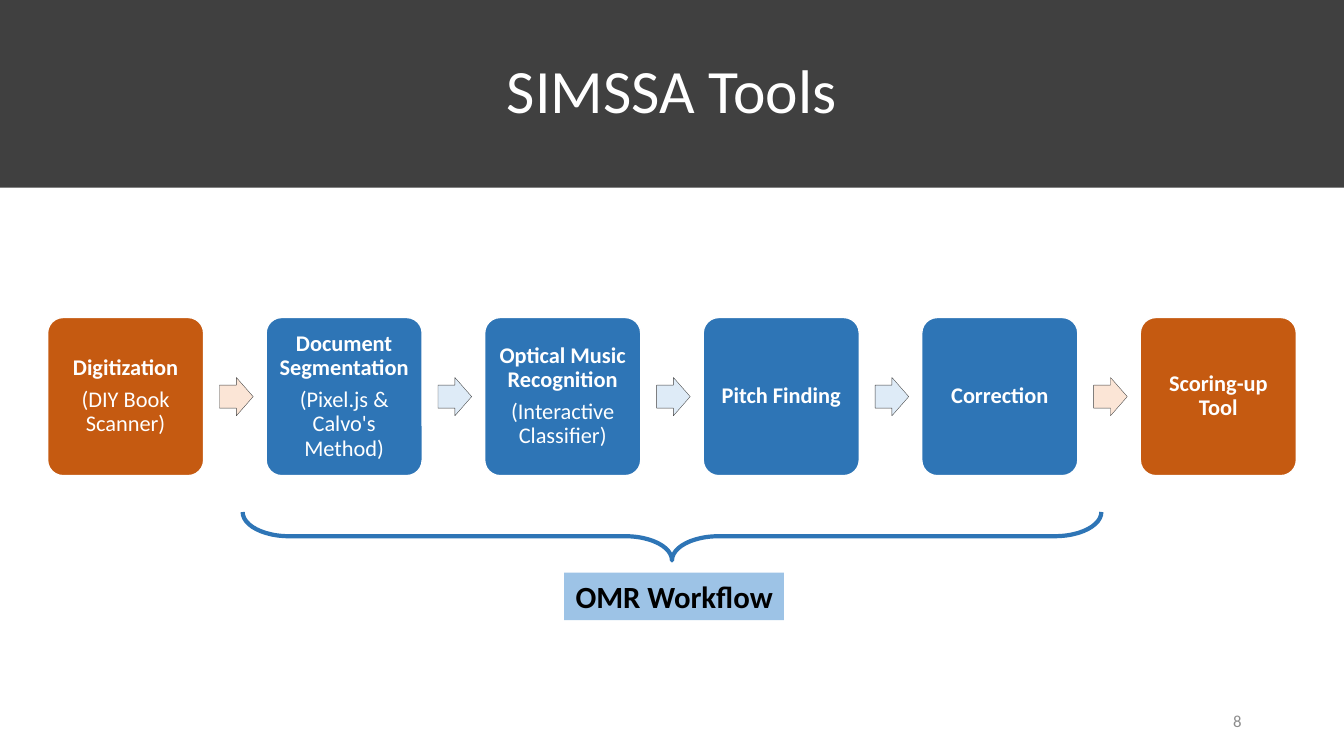
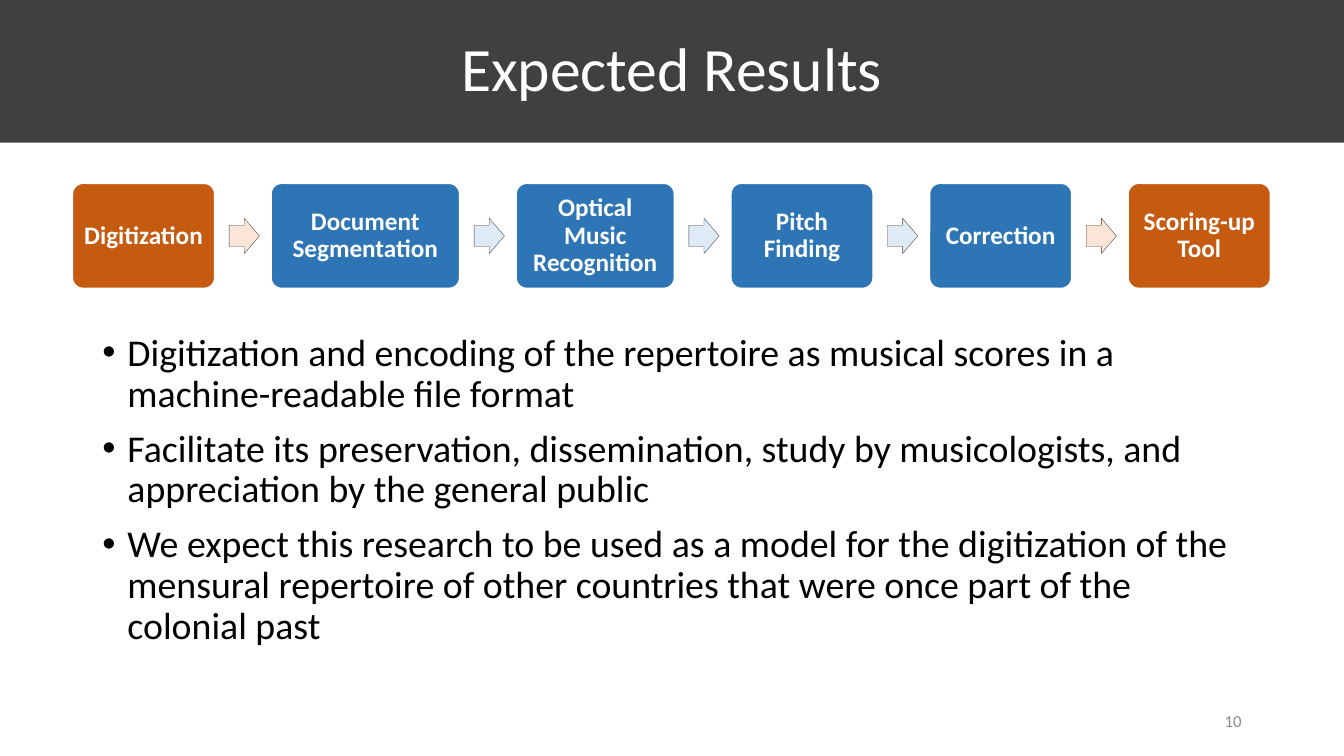
from lxml.etree import SubElement
from pptx import Presentation
from pptx.dml.color import RGBColor
from pptx.enum.shapes import MSO_SHAPE as Preset
from pptx.enum.text import MSO_ANCHOR as Anchor, MSO_AUTO_SIZE as AutoSize, PP_ALIGN as Align
from pptx.oxml.ns import qn
from pptx.util import Pt

FONT = "Calibri"
CHARCOAL, WHITE, BLACK, GREY = "404040", "FFFFFF", "000000", "8C8C8C"
ORANGE, PALE_ORANGE = "C55A11", "FBE5D6"
BLUE, PALE_BLUE, MID_BLUE = "2E75B6", "DEEBF7", "9DC3E6"
SLIDE_W, SLIDE_H = 960, 540


def paint(shape, fill=None, line=None, width=1):
    """Set a flat fill and outline; None leaves that part empty."""
    shape.shadow.inherit = False
    if fill:
        shape.fill.solid()
        shape.fill.fore_color.rgb = RGBColor.from_string(fill)
    else:
        shape.fill.background()
    if line:
        shape.line.color.rgb = RGBColor.from_string(line)
        shape.line.width = Pt(width)
    else:
        shape.line.fill.background()


def write(shape, texts, size, color, align=Align.CENTER, anchor=Anchor.MIDDLE,
          bold=False, gap=0, spacing=0.9, bulleted=False):
    """Put one paragraph per text into the shape, gap points apart."""
    frame = shape.text_frame
    frame.word_wrap = True
    frame.auto_size = AutoSize.NONE
    frame.vertical_anchor = anchor
    for i, text in enumerate(texts):
        para = frame.paragraphs[0] if i == 0 else frame.add_paragraph()
        para.text = text
        para.alignment = align
        para.line_spacing = spacing
        if i:
            para.space_before = Pt(gap)
        if bulleted:
            props = para._p.get_or_add_pPr()
            props.set("marL", str(Pt(18)))
            props.set("indent", str(-Pt(18)))
            SubElement(props, qn("a:buFont"), typeface="Arial")
            SubElement(props, qn("a:buChar"), char="•")
        para.font.name = FONT
        para.font.size = Pt(size)
        para.font.bold = bold
        para.font.color.rgb = RGBColor.from_string(color)


# Each step: heading, optional tool in use, fill colour
STEPS = [
    ("Digitization", "(DIY Book Scanner)", ORANGE),
    ("Document Segmentation", "(Pixel.js & Calvo's Method)", BLUE),
    ("Optical Music Recognition", "(Interactive Classifier)", BLUE),
    ("Pitch Finding", None, BLUE),
    ("Correction", None, BLUE),
    ("Scoring-up Tool", None, ORANGE),
]

PAGES = [
    dict(title="SIMSSA Tools", number="8", band=134, left=34, top=226.8, height=113,
         widths=[111.5] * 6, gap=44.6, arrow=(24, 27.4), size=16, tools=True),
    dict(title="Expected Results", number="10", band=102, left=51.8, top=131, height=75,
         widths=[101.5, 134.6, 113, 101.5, 101.5, 101.5], gap=40.4, arrow=(21.6, 25.2),
         size=18, tools=False),
]

deck = Presentation()
deck.slide_width, deck.slide_height = Pt(SLIDE_W), Pt(SLIDE_H)
title_only = deck.slide_layouts[5]

slides = []
for page in PAGES:
    slide = deck.slides.add_slide(title_only)
    slides.append(slide)

    title = slide.shapes.title
    title.left, title.top = Pt(0), Pt(0)
    title.width, title.height = Pt(SLIDE_W), Pt(page["band"])
    paint(title, CHARCOAL)
    write(title, [page["title"]], 44, WHITE)

    x = page["left"]
    arrow_w, arrow_h = page["arrow"]
    for i, (heading, tool, color) in enumerate(STEPS):
        width = page["widths"][i]
        step = slide.shapes.add_shape(Preset.ROUNDED_RECTANGLE, Pt(x), Pt(page["top"]),
                                      Pt(width), Pt(page["height"]))
        step.adjustments[0] = 0.1
        paint(step, color, WHITE)
        frame = step.text_frame
        frame.margin_left = frame.margin_right = Pt(4.8)
        frame.margin_top = frame.margin_bottom = Pt(4.8)
        lines = [heading, tool] if tool and page["tools"] else [heading]
        write(step, lines, page["size"], WHITE, bold=True, gap=5.6)
        for tool_line in frame.paragraphs[1:]:
            tool_line.font.bold = False

        x += width
        if i < len(STEPS) - 1:
            arrow = slide.shapes.add_shape(
                Preset.RIGHT_ARROW, Pt(x + (page["gap"] - arrow_w) / 2 + 1),
                Pt(page["top"] + (page["height"] - arrow_h) / 2), Pt(arrow_w), Pt(arrow_h))
            arrow.adjustments[0], arrow.adjustments[1] = 0.6, 0.5
            outer = i in (0, len(STEPS) - 2)
            paint(arrow, PALE_ORANGE if outer else PALE_BLUE, CHARCOAL, 0.25)
        x += page["gap"]

    number = slide.shapes.add_textbox(Pt(678), Pt(500.5), Pt(216), Pt(28.8))
    write(number, [page["number"]], 12, GREY, align=Align.RIGHT, spacing=1)

tools_slide, results_slide = slides

# The brace is drawn upright and turned to open upwards
brace_w, brace_h = 34.6, 613.4
brace = tools_slide.shapes.add_shape(Preset.LEFT_BRACE, Pt((SLIDE_W - brace_w) / 2),
                                     Pt(383 - brace_h / 2), Pt(brace_w), Pt(brace_h))
brace.rotation = 270
brace.adjustments[0], brace.adjustments[1] = 0.96, 0.5
paint(brace, line=BLUE, width=3)

workflow = tools_slide.shapes.add_shape(Preset.RECTANGLE, Pt(403), Pt(409), Pt(157), Pt(34))
paint(workflow, MID_BLUE)
write(workflow, ["OMR Workflow"], 22, BLACK, bold=True, spacing=1)
workflow.text_frame.word_wrap = False

results = results_slide.shapes.add_textbox(Pt(66), Pt(234.7), Pt(828), Pt(251))
write(results, [
    "Digitization and encoding of the repertoire as musical scores in a "
    "machine-readable file format",
    "Facilitate its preservation, dissemination, study by musicologists, and "
    "appreciation by the general public",
    "We expect this research to be used as a model for the digitization of the mensural "
    "repertoire of other countries that were once part of the colonial past",
], 27, BLACK, align=Align.LEFT, anchor=Anchor.TOP, gap=10, bulleted=True)

deck.save("out.pptx")
